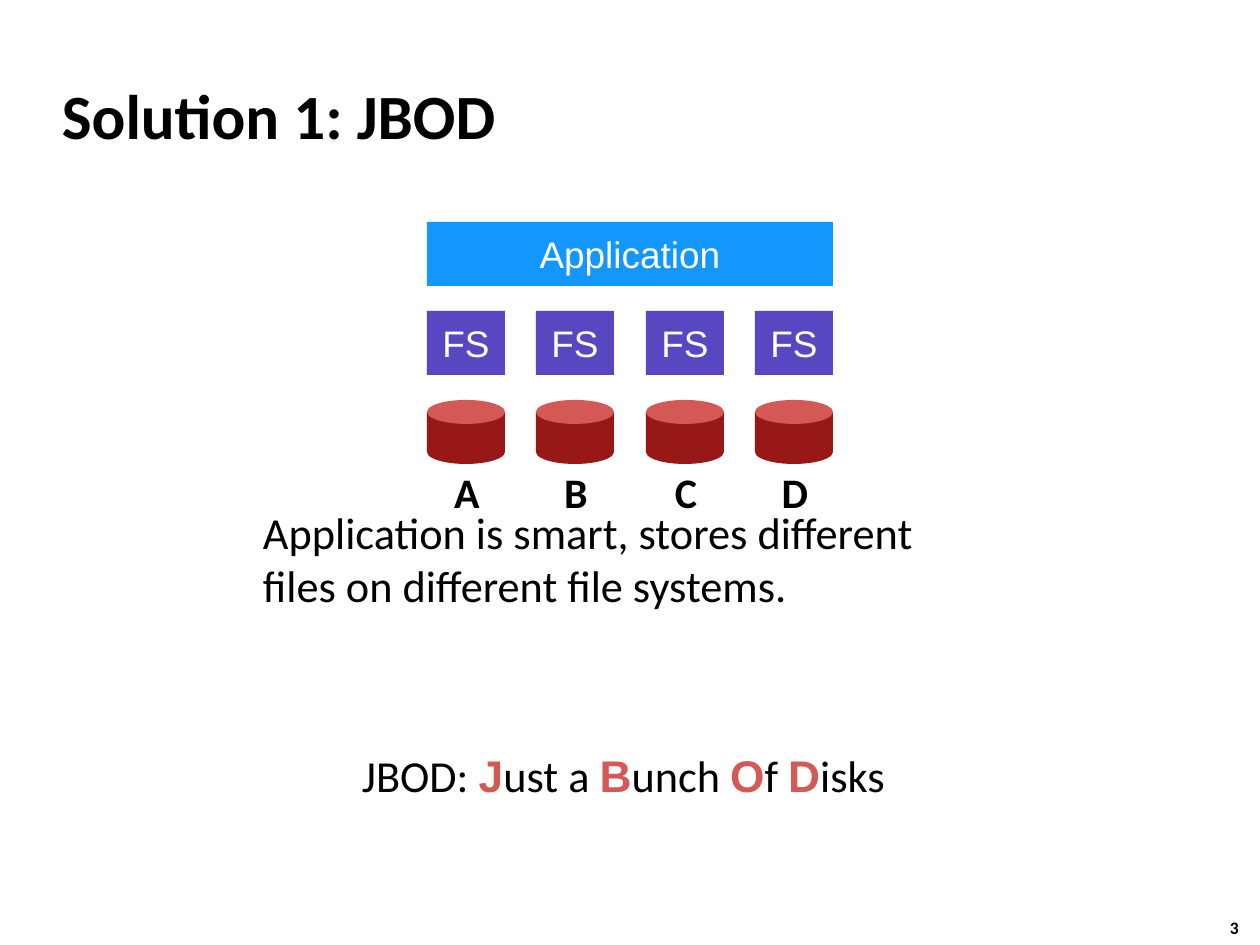
from dataclasses import dataclass

from pptx import Presentation
from pptx.dml.color import RGBColor
from pptx.enum.shapes import MSO_SHAPE
from pptx.enum.text import MSO_ANCHOR, PP_ALIGN
from pptx.util import Emu, Pt

RECT, OVAL = MSO_SHAPE.RECTANGLE, MSO_SHAPE.OVAL
TOP, MIDDLE = MSO_ANCHOR.TOP, MSO_ANCHOR.MIDDLE
LEFT, CENTER = PP_ALIGN.LEFT, PP_ALIGN.CENTER
PX = 914400 // 126


@dataclass(frozen=True)
class Theme:
    text: str = "000000"
    inverse: str = "FFFFFF"
    app: str = "1497FC"
    file_system: str = "5747C1"
    disk: str = "971817"
    accent: str = "D45954"
    body_font: str = "Calibri"
    block_font: str = "Arial"
    title_size: float = 36
    body_size: float = 25.3
    label_size: float = 24
    block_size: float = 21.1
    number_size: float = 10


T = Theme()
BODY = dict(name=T.body_font, size=T.body_size, color=T.text, bold=False)
INITIAL = dict(BODY, name=T.block_font, color=T.accent, bold=True)
TITLE = dict(BODY, size=T.title_size, bold=True)
LABEL = dict(BODY, size=T.label_size, bold=True)
NUMBER = dict(BODY, size=T.number_size, bold=True)
BLOCK = dict(BODY, name=T.block_font, size=T.block_size, color=T.inverse)


def emu(*lengths):
    return [Emu(n * PX) for n in lengths]


def write(sp, paragraphs, align=LEFT, anchor=TOP, inset=(13, 6), wrap=False):
    """Fill a shape with paragraphs, each a list of (text, format) runs."""
    tf = sp.text_frame
    dx, dy = emu(*inset)
    frame = dict(word_wrap=wrap, vertical_anchor=anchor, margin_left=dx,
                 margin_right=dx, margin_top=dy, margin_bottom=dy)
    for key, value in frame.items():
        setattr(tf, key, value)
    for i, runs in enumerate(paragraphs):
        p = tf.add_paragraph() if i else tf.paragraphs[0]
        p.alignment = align
        for text, fmt in runs:
            r = p.add_run()
            r.text = text
            values = dict(fmt, size=Pt(fmt["size"]))
            r.font.color.rgb = RGBColor.from_string(values.pop("color"))
            for key, value in values.items():
                setattr(r.font, key, value)


def add_text(shapes, box, paragraphs, **layout):
    write(shapes.add_textbox(*emu(*box)), paragraphs, **layout)


def add_block(shapes, kind, box, color, text=None):
    sp = shapes.add_shape(kind, *emu(*box))
    sp.shadow.inherit = False
    sp.fill.solid()
    sp.fill.fore_color.rgb = RGBColor.from_string(color)
    sp.line.fill.background()
    if text:
        write(sp, [[(text, BLOCK)]], CENTER, MIDDLE, (0, 0), True)


def add_disk(shapes, box):
    """Draw a cylinder: base, side, then the lighter lid."""
    x, y, w, h = box
    lid = 24
    add_block(shapes, OVAL, (x, y + h - lid, w, lid), T.disk)
    add_block(shapes, RECT, (x, y + lid // 2, w, h - lid), T.disk)
    add_block(shapes, OVAL, (x, y, w, lid), T.accent)


def add_stack(slide, box, names):
    """Draw the application above one file system and disk per name."""
    x, y, w, h = box
    row, col = 64, 78
    pitch = (h - row) // 2
    step = (w - col) / (len(names) - 1)
    add_block(slide.shapes, RECT, (x, y, w, row), T.app, "Application")
    for i, name in enumerate(names):
        left = x + round(i * step)
        group = slide.shapes.add_group_shape()
        add_disk(group.shapes, (left, y + 2 * pitch, col, row))
        add_block(group.shapes, RECT, (left, y + pitch, col, row),
                  T.file_system, "FS")
        add_text(slide.shapes, (left + 1, y + h - 3, col, 63),
                 [[(name, LABEL)]], align=CENTER)


def add_acronym(slide, box):
    runs = [("JBOD: ", BODY)]
    for initial, rest in (("J", "ust a "), ("B", "unch "), ("O", "f "), ("D", "isks")):
        runs += [(initial, INITIAL), (rest, BODY)]
    add_text(slide.shapes, box, [runs], anchor=MIDDLE, inset=(5, 5))


def build_slide(prs):
    slide = prs.slides.add_slide(prs.slide_layouts[6])
    add_text(slide.shapes, (1217, 911, 47, 34), [[("3", NUMBER)]])
    add_text(slide.shapes, (49, 62, 1046, 105), [[("Solution 1: JBOD", TITLE)]],
             anchor=MIDDLE, wrap=True)
    add_stack(slide, (427, 222, 406, 242), "ABCD")
    add_text(slide.shapes, (263, 505, 656, 107),
             [[("Application is smart, stores different", BODY)],
              [("files on different file systems.", BODY)]], inset=(0, 0))
    add_acronym(slide, (357, 743, 544, 63))


def main():
    prs = Presentation()
    prs.slide_width, prs.slide_height = emu(1260, 945)
    build_slide(prs)
    prs.save("out.pptx")


if __name__ == "__main__":
    main()
